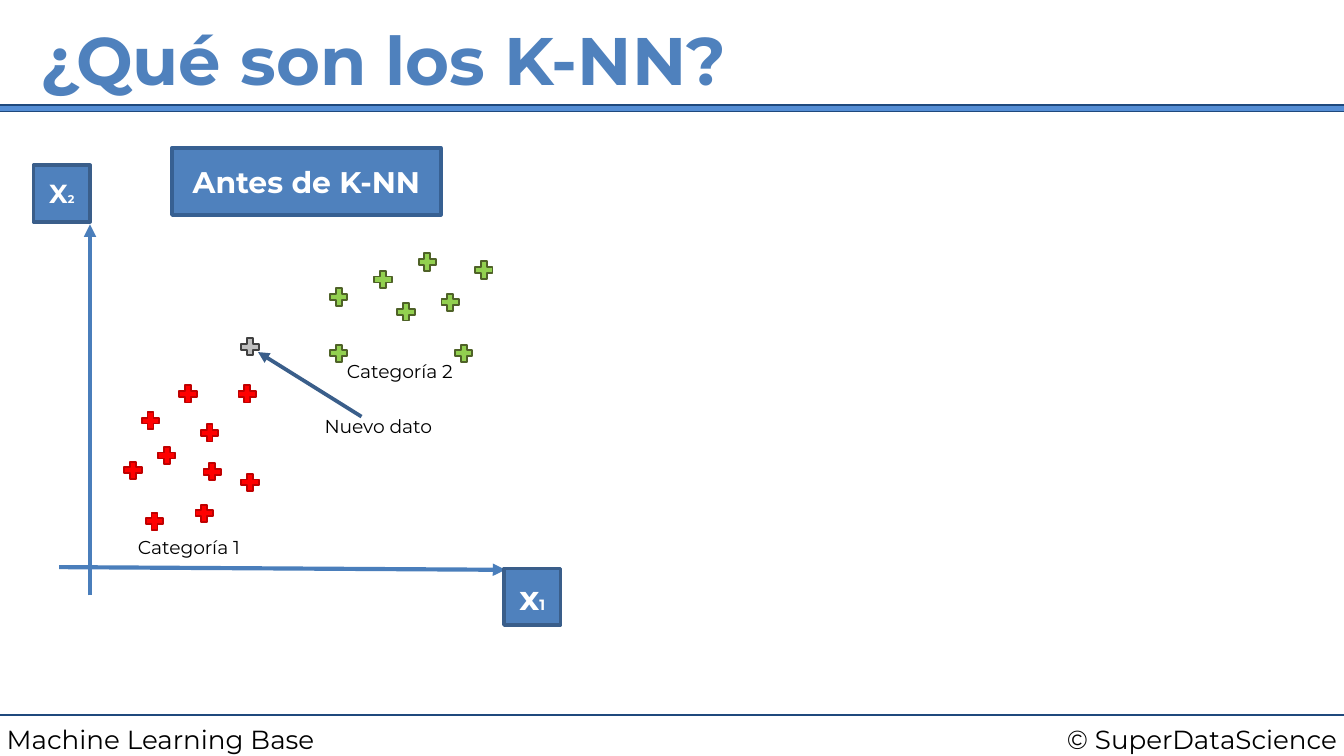
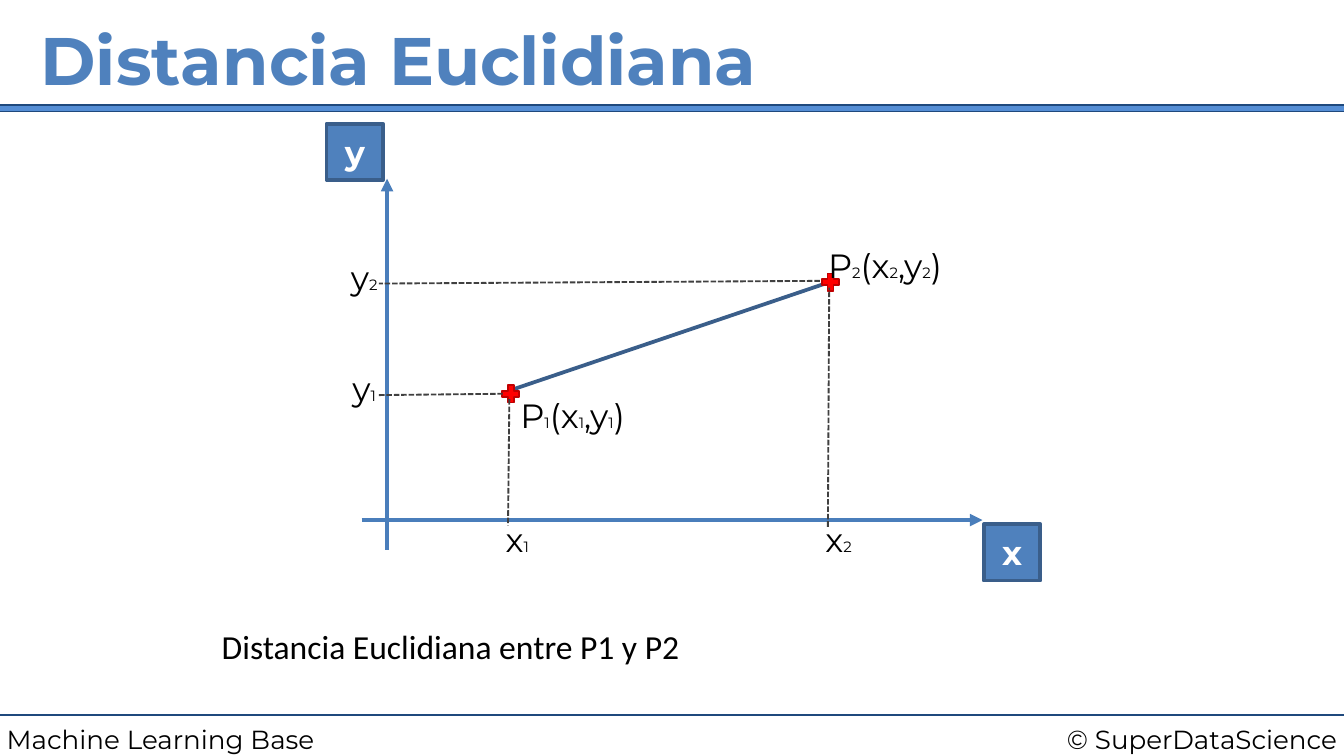
from itertools import cycle

from lxml.etree import SubElement
from pptx import Presentation
from pptx.dml.color import RGBColor
from pptx.enum.dml import MSO_LINE
from pptx.enum.shapes import MSO_CONNECTOR, MSO_SHAPE
from pptx.enum.text import MSO_ANCHOR, PP_ALIGN
from pptx.oxml.ns import qn
from pptx.util import Inches, Pt

# Shared look
FONT = "Montserrat"
BLACK, WHITE, DARK_GREY = "000000", "FFFFFF", "404040"
BLUE, AXIS_BLUE, EDGE_BLUE, NAVY = "4F81BD", "4A7EBB", "3A5E8A", "1F497D"
BAR_BLUE, HEADING_EDGE = "558ED5", "376092"
RED = ("FF0000", "C00000")
GREEN = ("92D050", "4F6228")
GREY = ("BFBFBF", "404040")
FOOTERS = [
    ("Machine Learning Base", (0, 5.33, 3.25, 0.34), PP_ALIGN.LEFT),
    ("© SuperDataScience", (7.08, 5.33, 2.92, 0.34), PP_ALIGN.RIGHT),
]
MARKER = 0.13
TAG = 0.42

# Slide 1: scatter of two categories, by marker centre
KNN_TITLE = "¿Qué son los K-NN?"
KNN_POINTS = [
    (GREY, [(1.86, 2.58)]),
    (RED, [(0.99, 3.5), (1.24, 3.39), (1.56, 3.22), (1.12, 3.13), (1.4, 2.93),
           (1.58, 3.51), (1.84, 2.93), (1.52, 3.82), (1.86, 3.59), (1.15, 3.88)]),
    (GREEN, [(3.18, 1.95), (3.35, 2.25), (3.02, 2.32), (2.52, 2.21),
             (3.45, 2.63), (2.52, 2.63), (2.85, 2.08), (3.6, 2.01)]),
]
KNN_AXES = [((0.67, 4.43), (0.67, 1.67)), ((0.44, 4.22), (3.76, 4.24))]
KNN_LABELS = [
    ("Nuevo dato", 2.1, 3.04),
    ("Categoría 1", 0.69, 3.94),
    ("Categoría 2", 2.26, 2.63),
]
KNN_TAGS = [(("x", "1"), 3.75, 4.23, (18, 8)), (("X", "2"), 0.25, 1.23, (14, 6))]

# Slide 2: distance between two points
DISTANCE_TITLE = "Distancia Euclidiana"
DISTANCE_CAPTION = "Distancia Euclidiana entre P1 y P2"
DISTANCE_AXES = [((2.88, 4.09), (2.88, 1.33)), ((2.69, 3.87), (7.31, 3.87))]
DISTANCE_POINTS = [(3.8, 2.93), (6.18, 2.1)]
DISTANCE_GUIDES = [
    ((3.79, 2.97), (3.78, 3.91)),
    ((6.16, 3.92), (6.17, 2.14)),
    ((2.82, 2.94), (3.74, 2.93)),
    ((6.1, 2.09), (2.82, 2.11)),
]
DISTANCE_TAGS = [(("x",), 7.32, 3.9, (18,)), (("y",), 2.43, 0.92, (18,))]
DISTANCE_LABELS = [
    (("P", "1", "(x", "1", ",y", "1", ")"), 3.7, 2.89, 1.12),
    (("P", "2", "(x", "2", ",y", "2", ")"), 5.86, 1.77, 1.45),
    (("x", "2"), 5.98, 3.81, 0.52),
    (("x", "1"), 3.61, 3.81, 0.48),
    (("y", "2"), 2.49, 1.86, 0.44),
    (("y", "1"), 2.49, 2.69, 0.44),
]


def color(hex_string):
    return RGBColor.from_string(hex_string)


def write(shape, pieces, sizes, text_color=BLACK, bold=False,
          align=PP_ALIGN.CENTER, font=FONT, wrap=True):
    """Write the pieces as runs whose sizes alternate (letter, subscript)."""
    frame = shape.text_frame
    frame.word_wrap = wrap
    frame.margin_left = frame.margin_right = Inches(0.05)
    frame.margin_top = frame.margin_bottom = Inches(0.05)
    paragraph = frame.paragraphs[0]
    paragraph.alignment = align
    for piece, size in zip(pieces, cycle(sizes)):
        run = paragraph.add_run()
        run.text = piece
        run.font.name = font
        run.font.size = Pt(size)
        run.font.bold = bold
        run.font.color.rgb = color(text_color)


def add_text(slide, box, pieces, sizes, **style):
    shape = slide.shapes.add_textbox(*map(Inches, box))
    write(shape, pieces, sizes, **style)


def add_preset(slide, preset, box, fill, edge, width):
    shape = slide.shapes.add_shape(preset, *map(Inches, box))
    shape.shadow.inherit = False
    shape.fill.solid()
    shape.fill.fore_color.rgb = color(fill)
    shape.line.color.rgb = color(edge)
    shape.line.width = Pt(width)
    return shape


def add_line(slide, start, end, line_color, width, arrow=False, dashed=False):
    connector = slide.shapes.add_connector(
        MSO_CONNECTOR.STRAIGHT, *map(Inches, (*start, *end)))
    connector.line.color.rgb = color(line_color)
    connector.line.width = Pt(width)
    if dashed:
        connector.line.dash_style = MSO_LINE.SQUARE_DOT
    properties = connector._element.spPr
    if arrow:
        SubElement(properties.find(qn("a:ln")), qn("a:tailEnd"), type="triangle")
    SubElement(properties, qn("a:effectLst"))


def add_marker(slide, center, colors):
    left, top = (value - MARKER / 2 for value in center)
    marker = add_preset(slide, MSO_SHAPE.CROSS, (left, top, MARKER, MARKER), *colors, 1)
    marker.adjustments[0] = 0.33


def add_axes(slide, axes):
    for start, end in axes:
        add_line(slide, start, end, AXIS_BLUE, 2.25, arrow=True)


def add_tags(slide, tags):
    for pieces, left, top, sizes in tags:
        tag = add_preset(slide, MSO_SHAPE.RECTANGLE, (left, top, TAG, TAG),
                         BLUE, EDGE_BLUE, 2)
        write(tag, pieces, sizes, WHITE, bold=True)


def start_slide(presentation, heading):
    """Add a slide with its title, title bar and footer."""
    slide = presentation.slides.add_slide(presentation.slide_layouts[5])
    add_line(slide, (0, 5.32), (10, 5.32), NAVY, 1.5)
    for text, box, align in FOOTERS:
        add_text(slide, box, [text], [14], align=align)
    add_preset(slide, MSO_SHAPE.RECTANGLE, (-0.04, 0.78, 10.08, 0.05), BAR_BLUE, NAVY, 0.75)
    title = slide.shapes.title
    title.left, title.top, title.width, title.height = map(Inches, (0.25, 0.08, 9.5, 0.81))
    write(title, [heading], [36], BLUE, bold=True, align=PP_ALIGN.LEFT)
    title.text_frame.vertical_anchor = MSO_ANCHOR.MIDDLE
    title.text_frame.margin_bottom = Inches(0.14)
    return slide


def build_knn(presentation):
    slide = start_slide(presentation, KNN_TITLE)
    add_line(slide, (2.69, 3.1), (1.92, 2.62), EDGE_BLUE, 2, arrow=True)
    add_axes(slide, KNN_AXES)
    for colors, centers in KNN_POINTS:
        for center in centers:
            add_marker(slide, center, colors)
    heading = add_preset(slide, MSO_SHAPE.RECTANGLE, (1.28, 1.1, 2, 0.5),
                         BLUE, HEADING_EDGE, 2)
    write(heading, ["Antes de K-NN"], [16], WHITE, bold=True)
    for text, left, top in KNN_LABELS:
        add_text(slide, (left, top, 1.43, 0.27), [text], [10])
    add_tags(slide, KNN_TAGS)


def build_distance(presentation):
    slide = start_slide(presentation, DISTANCE_TITLE)
    add_line(slide, (3.78, 2.91), (6.17, 2.1), EDGE_BLUE, 2)
    add_axes(slide, DISTANCE_AXES)
    for center in DISTANCE_POINTS:
        add_marker(slide, center, RED)
    add_tags(slide, DISTANCE_TAGS)
    for start, end in DISTANCE_GUIDES:
        add_line(slide, start, end, DARK_GREY, 1, dashed=True)
    for pieces, left, top, width in DISTANCE_LABELS:
        add_text(slide, (left, top, width, 0.41), pieces, (18, 8))
    add_text(slide, (1.6, 4.61, 3.93, 0.39), [DISTANCE_CAPTION], [18],
             align=PP_ALIGN.LEFT, font="Calibri", wrap=False)


def main():
    presentation = Presentation()
    presentation.slide_width = Inches(10)
    presentation.slide_height = Inches(10 * 9 / 16)  # widescreen
    build_knn(presentation)
    build_distance(presentation)
    presentation.save("out.pptx")


if __name__ == "__main__":
    main()
